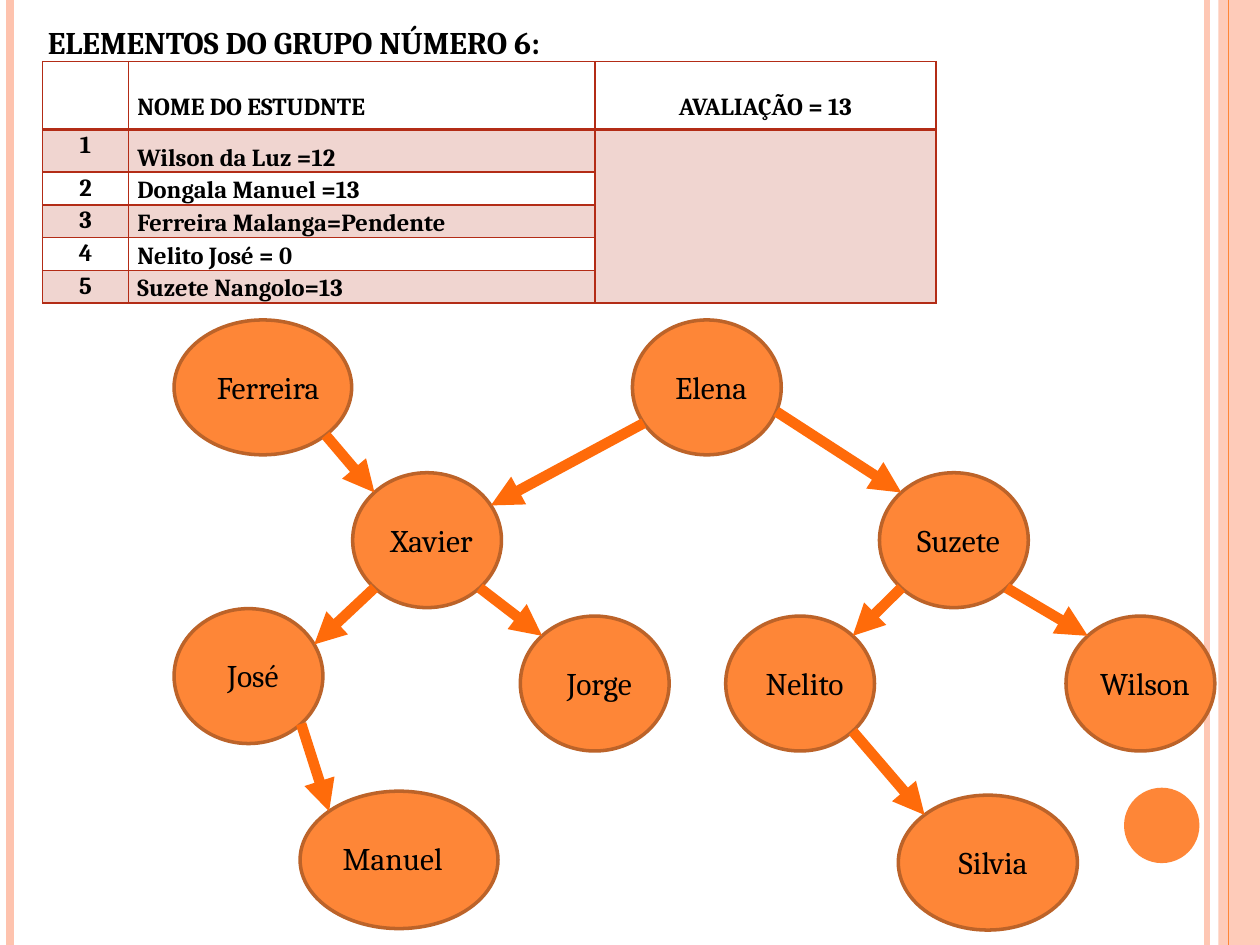
from math import cos, radians, sin
from lxml.etree import SubElement
from pptx import Presentation
from pptx.dml.color import RGBColor
from pptx.enum.shapes import MSO_CONNECTOR, MSO_SHAPE
from pptx.enum.text import MSO_ANCHOR, MSO_AUTO_SIZE, PP_ALIGN
from pptx.oxml.ns import qn
from pptx.util import Cm, Pt

COLORS = {
    "text": "000000",
    "node": "FE8637",
    "outline": "BC6329",
    "arrow": "FF6B0A",
    "band": "FECBB9",
    "stripe": "FEC3AE",
    "pale": "FEC7B4",
    "border": "B32C16",
    "row": "F0D5D0",
}
FONT = "Cambria"
TITLE = "ELEMENTOS DO GRUPO NÚMERO 6:"
HEADER = ["", "NOME DO ESTUDNTE", "AVALIAÇÃO = 13"]
STUDENTS = [
    "Wilson da Luz =12",
    "Dongala Manuel =13",
    "Ferreira Malanga=Pendente",
    "Nelito José = 0",
    "Suzete Nangolo=13",
]
COLUMN_WIDTHS = [1.73, 9.4, 6.88]
ROW_HEIGHTS = [1.37, 0.86] + [0.66] * 4
STRIPES = [
    (24.33, 3, "pale"),
    (0.2, 4.5, "stripe"),
    (24.97, 1.5, "node"),
]
INNER_STRIPE = (24.77, 0.75, "node")

NODES = {
    "Ferreira": (3.51, 6.45, 3.58, 2.72),
    "Xavier": (7.11, 9.53, 3, 2.72),
    "José": (3.51, 12.27, 3, 2.72),
    "Jorge": (10.49, 12.42, 3, 2.72),
    "Elena": (12.75, 6.45, 3, 2.72),
    "Suzete": (17.73, 9.53, 3, 2.72),
    "Wilson": (21.49, 12.42, 3, 2.72),
    "Nelito": (14.63, 12.42, 3, 2.72),
    "Silvia": (18.11, 16.03, 3.61, 2.72),
    "Manuel": (6.05, 15.95, 3.99, 2.77),
}
LABEL_SHIFTS = {"Manuel": -0.13}
ARROWS = [
    ("Ferreira", 45, "Xavier", 225),
    ("Xavier", 135, "José", -28),
    ("Xavier", 45, "Jorge", 225),
    ("Elena", 148, "Xavier", -31),
    ("Elena", 21, "Suzete", 225),
    ("Suzete", 45, "Wilson", 225),
    ("Suzete", 135, "Nelito", -45),
    ("Nelito", 45, "Silvia", 225),
    ("José", 45, "Manuel", 225),
]


def color(name):
    return RGBColor.from_string(COLORS[name])


def write(frame, text, size, alignment, bold=False):
    frame.text = text
    paragraph = frame.paragraphs[0]
    paragraph.alignment = alignment
    paragraph.font.name = FONT
    paragraph.font.size = Pt(size)
    paragraph.font.bold = bold
    paragraph.font.color.rgb = color("text")
    return paragraph


def add_filled(shapes, kind, box, fill, outline=None):
    shape = shapes.add_shape(kind, *map(Cm, box))
    shape.shadow.inherit = False
    shape.fill.solid()
    shape.fill.fore_color.rgb = color(fill)
    if outline:
        shape.line.color.rgb = color(outline)
        shape.line.width = Pt(2)
    else:
        shape.line.fill.background()


def add_line(shapes, start, end, width, name, arrow=False):
    line = shapes.add_connector(MSO_CONNECTOR.STRAIGHT, *map(Cm, start + end))
    line.line.color.rgb = color(name)
    line.line.width = Pt(width)
    if arrow:
        SubElement(line.line._get_or_add_ln(), qn("a:tailEnd"), type="triangle")
    SubElement(line._element.spPr, qn("a:effectLst"))


def add_stripe(shapes, x, width, name):
    add_line(shapes, (x, 0), (x, 19.05), width, name)


def set_borders(cell, row):
    widths = {"L": 1, "R": 1, "T": 2 if row == 1 else 1, "B": 2 if row == 0 else 1}
    properties = cell._tc.get_or_add_tcPr()
    for side, width in widths.items():
        border = SubElement(properties, qn(f"a:ln{side}"), w=str(Pt(width)))
        fill = SubElement(border, qn("a:solidFill"))
        SubElement(fill, qn("a:srgbClr"), val=COLORS["border"])


def add_student_table(shapes):
    rows = [HEADER] + [[str(i), name, ""] for i, name in enumerate(STUDENTS, 1)]
    table = shapes.add_table(
        len(rows), len(HEADER), Cm(0.86), Cm(1.24),
        Cm(sum(COLUMN_WIDTHS)), Cm(sum(ROW_HEIGHTS)),
    ).table
    table.first_row = table.horz_banding = False
    for column, width in zip(table.columns, COLUMN_WIDTHS):
        column.width = Cm(width)
    for row, height in zip(table.rows, ROW_HEIGHTS):
        row.height = Cm(height)
    for i, texts in enumerate(rows):
        for j, text in enumerate(texts):
            cell = table.cell(i, j)
            set_borders(cell, i)
            cell.margin_left = cell.margin_right = Cm(0.18)
            cell.margin_top = Cm(0.6 if i == 0 else 0)
            cell.margin_bottom = 0
            is_name = j == 1
            if is_name and i > 0:
                cell.vertical_anchor = MSO_ANCHOR.BOTTOM
            if i % 2 or (j == 2 and i > 0):
                cell.fill.solid()
                cell.fill.fore_color.rgb = color("row")
            else:
                cell.fill.background()
            alignment = PP_ALIGN.LEFT if is_name else PP_ALIGN.CENTER
            paragraph = write(cell.text_frame, text, 14, alignment, True)
            paragraph.line_spacing = 1.07
    table.cell(1, 2).merge(table.cell(len(STUDENTS), 2))


def add_node(shapes, name):
    left, top, width, height = NODES[name]
    group = shapes.add_group_shape()
    add_filled(group.shapes, MSO_SHAPE.OVAL, NODES[name], "node", "outline")
    label_left = left + LABEL_SHIFTS.get(name, width * 0.03)
    label = group.shapes.add_textbox(
        Cm(label_left), Cm(top + 0.84), Cm(width), Cm(1.02)
    )
    label.text_frame.word_wrap = True
    write(label.text_frame, name, 18, PP_ALIGN.CENTER)


def rim_point(name, degrees):
    left, top, width, height = NODES[name]
    angle = radians(degrees)
    return (left + width / 2 * (1 + cos(angle)), top + height / 2 * (1 + sin(angle)))


def main():
    presentation = Presentation()
    presentation.slide_width, presentation.slide_height = Cm(25.4), Cm(19.05)
    slide = presentation.slides.add_slide(presentation.slide_layouts[5])
    shapes = slide.shapes
    for stripe in STRIPES:
        add_stripe(shapes, *stripe)
    add_filled(shapes, MSO_SHAPE.RECTANGLE, (24.56, 0, 0.84, 19.05), "band")
    add_stripe(shapes, *INNER_STRIPE)
    add_filled(shapes, MSO_SHAPE.OVAL, (22.66, 15.88, 1.52, 1.52), "node")
    title = shapes.title
    title.left, title.top, title.width, title.height = map(Cm, (0.71, 0.33, 20.8, 1.02))
    title.text_frame.auto_size = MSO_AUTO_SIZE.NONE
    title.text_frame.vertical_anchor = MSO_ANCHOR.TOP
    write(title.text_frame, TITLE, 18, PP_ALIGN.JUSTIFY, True)
    add_student_table(shapes)
    for name in NODES:
        add_node(shapes, name)
    for source, start, target, end in ARROWS:
        add_line(shapes, rim_point(source, start), rim_point(target, end), 6, "arrow", True)
    presentation.save("out.pptx")


if __name__ == "__main__":
    main()
